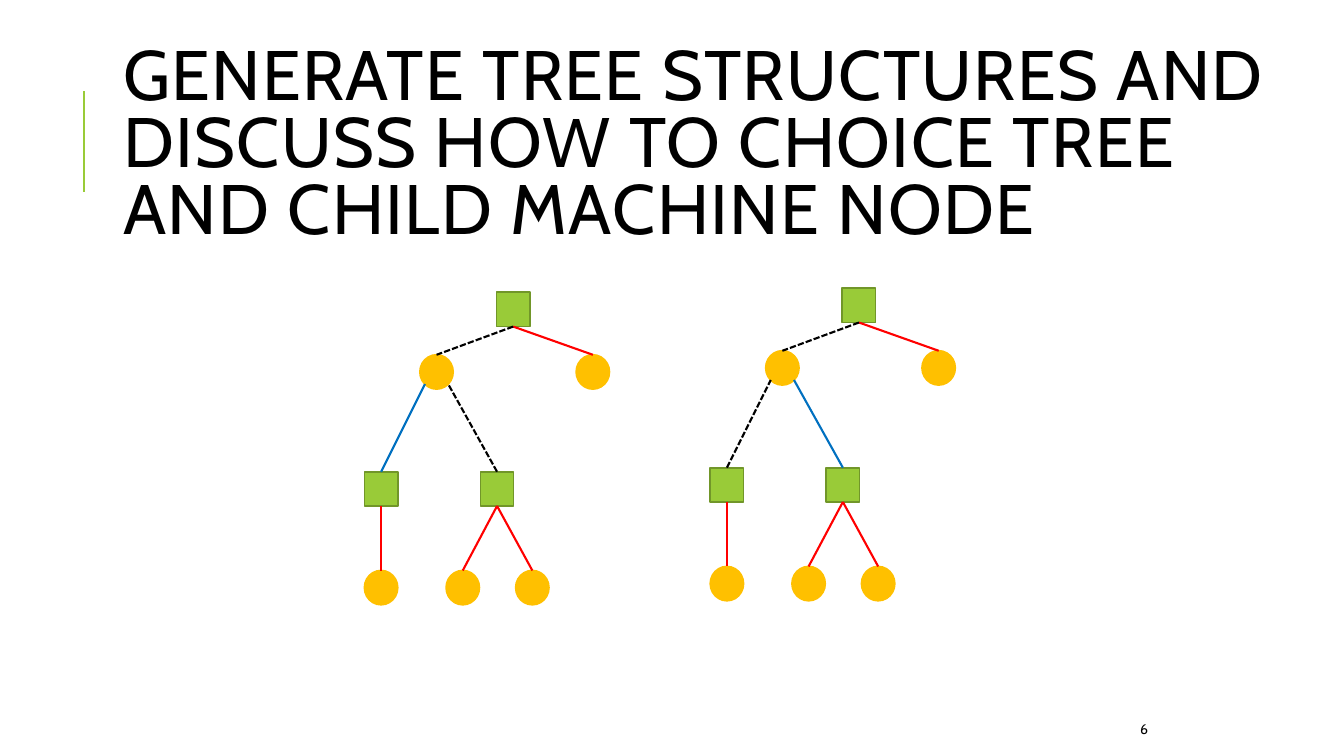
from lxml import etree
from pptx import Presentation
from pptx.dml.color import RGBColor
from pptx.enum.dml import MSO_LINE
from pptx.enum.shapes import MSO_CONNECTOR, MSO_SHAPE
from pptx.enum.text import MSO_ANCHOR, MSO_AUTO_SIZE, PP_ALIGN
from pptx.oxml.ns import qn
from pptx.util import Inches, Pt

SQUARE, CIRCLE = MSO_SHAPE.RECTANGLE, MSO_SHAPE.OVAL
STRAIGHT = MSO_CONNECTOR.STRAIGHT
DASH = MSO_LINE.SQUARE_DOT
MIDDLE, LEFT, NO_FIT = MSO_ANCHOR.MIDDLE, PP_ALIGN.LEFT, MSO_AUTO_SIZE.NONE
TITLE_ONLY = 5
GREEN, DARK_GREEN, AMBER = "99CB38", "719629", "FFC000"
RED, BLUE, BLACK = "FF0000", "0070C0", "000000"

MACHINES = {"root": (5.09, 3.07), "left": (3.78, 4.85), "right": (4.93, 4.85)}
JOBS = {"inner": (4.33, 3.69), "outer": (5.88, 3.69), "left leaf": (3.78, 5.83),
        "first leaf": (4.59, 5.83), "second leaf": (5.28, 5.83)}
RED_BRANCHES = [("root", "outer"), ("left", "left leaf"),
                ("right", "first leaf"), ("right", "second leaf")]


def rgb(value):
    """Turn a hex string into a colour."""
    return RGBColor.from_string(value)


def write(frame, text, size, spacing=None, tracking=0, after=0):
    """Put one formatted paragraph in a text frame."""
    frame.word_wrap = True
    frame.auto_size = NO_FIT
    frame.vertical_anchor = MIDDLE
    paragraph = frame.paragraphs[0]
    paragraph.alignment = LEFT
    paragraph.line_spacing = spacing
    paragraph.space_after = Pt(after)
    run = paragraph.add_run()
    run.text = text
    run.font.name = "Cabin"
    run.font.size = Pt(size)
    run.font.color.rgb = rgb(BLACK)
    if tracking:
        run.font._element.set("spc", str(tracking * 100))


class TreeSlide:
    """Hold the slide and the style of its tree diagrams."""

    node_width, node_height = 0.33, 0.34
    line_width = 1.5

    def __init__(self, slide):
        """Keep the slide to draw on."""
        self.slide = slide

    def title(self, text, left, top, width, height):
        """Place and fill the title."""
        heading = self.slide.shapes.title
        heading.left, heading.top = Inches(left), Inches(top)
        heading.width, heading.height = Inches(width), Inches(height)
        write(heading.text_frame, text, 50, spacing=0.8, tracking=1)

    def label(self, text, left, top, width, height):
        """Add a small text box."""
        box = self.slide.shapes.add_textbox(
            Inches(left), Inches(top), Inches(width), Inches(height))
        write(box.text_frame, text, 10, after=6)

    def node(self, kind, center, fill, outline):
        """Add a tree node around its centre."""
        x, y = center
        shape = self.slide.shapes.add_shape(
            kind, Inches(x - self.node_width / 2), Inches(y - self.node_height / 2),
            Inches(self.node_width), Inches(self.node_height))
        shape.shadow.inherit = False
        shape.fill.solid()
        shape.fill.fore_color.rgb = rgb(fill)
        shape.line.color.rgb = rgb(outline)
        shape.line.width = Pt(1.25)

    def line(self, start, end, color, dash=None):
        """Add a straight line."""
        connector = self.slide.shapes.add_connector(
            STRAIGHT, *(Inches(value) for value in (*start, *end)))
        connector.line.color.rgb = rgb(color)
        connector.line.width = Pt(self.line_width)
        if dash:
            connector.line.dash_style = dash
        etree.SubElement(connector._element.spPr, qn("a:effectLst"))

    def tree(self, dx, dy, left_style, right_style):
        """Draw a tree whose two middle branches have the given styles."""
        machines = {name: (x + dx, y + dy) for name, (x, y) in MACHINES.items()}
        jobs = {name: (x + dx, y + dy) for name, (x, y) in JOBS.items()}
        for center in machines.values():
            self.node(SQUARE, center, GREEN, DARK_GREEN)
        for center in jobs.values():
            self.node(CIRCLE, center, AMBER, AMBER)

        half = self.node_height / 2
        branches = [(parent, child, RED, None) for parent, child in RED_BRANCHES]
        for parent, child, color, dash in branches + [("root", "inner", BLACK, DASH)]:
            (x1, y1), (x2, y2) = machines[parent], jobs[child]
            self.line((x1, y1 + half), (x2, y2 - half), color, dash)

        x, y = jobs["inner"]
        for child, side, style in (("left", -1, left_style), ("right", 1, right_style)):
            child_x, child_y = machines[child]
            self.line((child_x, child_y - half), (x + side * 0.115, y + 0.12), *style)


def main():
    """Build and save the presentation."""
    deck = Presentation()
    deck.slide_width, deck.slide_height = Inches(13.33), Inches(7.5)
    page = TreeSlide(deck.slides.add_slide(deck.slide_layouts[TITLE_ONLY]))
    page.line((0.83, 1.9), (0.83, 0.9), GREEN)
    page.label("6", 11.21, 7.08, 1.06, 0.3)
    page.title("GENERATE TREE STRUCTURES AND DISCUSS HOW TO CHOICE TREE "
               "AND CHILD MACHINE NODE", 1.12, 0.64, 11.8, 1.64)
    chosen, candidate = (BLUE,), (BLACK, DASH)
    page.tree(3.43, -0.04, candidate, chosen)
    page.tree(0, 0, chosen, candidate)
    deck.save("out.pptx")


if __name__ == "__main__":
    main()
